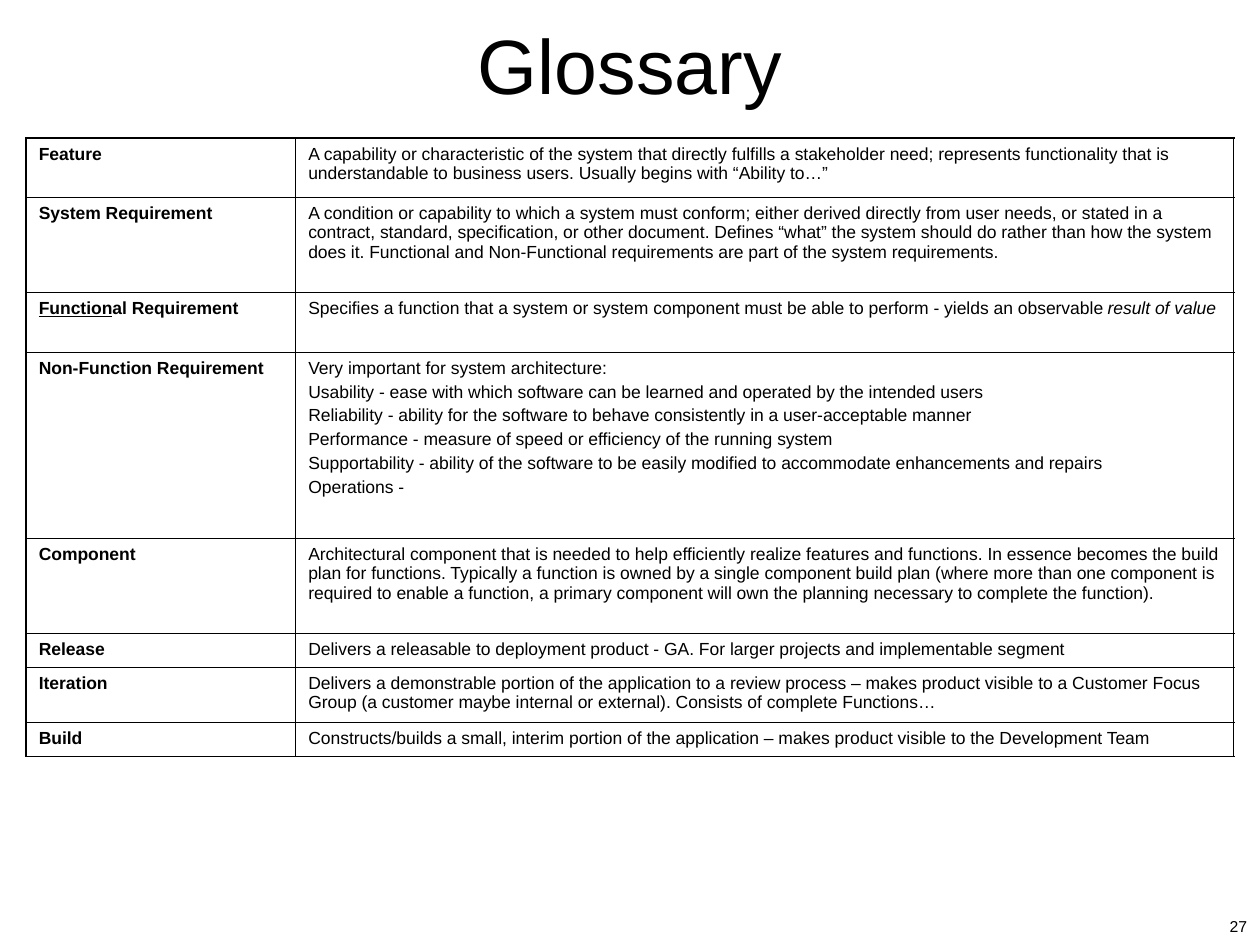
"""Build the Glossary slide: a title, a table of terms and a page number."""
from lxml.etree import SubElement
from pptx import Presentation
from pptx.dml.color import RGBColor
from pptx.enum.text import MSO_ANCHOR as Anchor, PP_ALIGN as Align
from pptx.oxml import parse_xml
from pptx.oxml.ns import nsdecls, qn
from pptx.util import Pt

BLACK = RGBColor(0, 0, 0)
FONT = "Arial"
THIN, THICK = 0.45, 1.08

TITLE = "Glossary"
PAGE_NUMBER = "27"
COLUMN_WIDTHS = (154, 536)
GLOSSARY = [
    (33.7, "Feature", [
        "A capability or characteristic of the system that directly fulfills a stakeholder need; "
        "represents functionality that is understandable to business users. "
        "Usually begins with “Ability to…”"]),
    (54.2, "System Requirement", [
        "A condition or capability to which a system must conform; either derived directly from "
        "user needs, or stated in a contract, standard, specification, or other document. "
        "Defines “what” the system should do rather than how the system does it. "
        "Functional and Non-Functional requirements are part of the system requirements."]),
    (34.3, [("Function", "underline"), ("al Requirement", None)], [
        [("Specifies a function that a system or system component must be able to perform - "
          "yields an observable ", None), ("result of value", "italic")]]),
    (106.4, "Non-Function Requirement", [
        "Very important for system architecture:",
        "Usability - ease with which software can be learned and operated by the intended users",
        "Reliability - ability for the software to behave consistently in a user-acceptable manner",
        "Performance - measure of speed or efficiency of the running system",
        "Supportability - ability of the software to be easily modified to accommodate "
        "enhancements and repairs",
        "Operations -"]),
    (54.2, "Component", [
        "Architectural component that is needed to help efficiently realize features and "
        "functions. In essence becomes the build plan for functions. Typically a function is "
        "owned by a single component build plan (where more than one component is required to "
        "enable a function, a primary component will own the planning necessary to complete "
        "the function)."]),
    (19.5, "Release", [
        "Delivers a releasable to deployment product - GA. "
        "For larger projects and implementable segment"]),
    (31.5, "Iteration", [
        "Delivers a demonstrable portion of the application to a review process – makes product "
        "visible to a Customer Focus Group (a customer maybe internal or external). "
        "Consists of complete Functions…"]),
    (19.5, "Build", [
        "Constructs/builds a small, interim portion of the application – "
        "makes product visible to the Development Team"]),
]


def style_run(run, size):
    run.font.size = Pt(size)
    run.font.color.rgb = BLACK
    run.font.name = FONT


def add_label(slide, text, box, size, anchor):
    label = slide.shapes.add_textbox(*map(Pt, box)).text_frame
    label.word_wrap = True
    label.vertical_anchor = anchor
    label.text = text
    label.paragraphs[0].alignment = Align.CENTER
    run = label.paragraphs[0].runs[0]
    style_run(run, size)
    return run


def add_text_shadow(run):
    properties = run.font.fill._xPr
    effects = parse_xml(
        f'<a:effectLst {nsdecls("a")}><a:outerShdw dist="17960" dir="2700000">'
        '<a:srgbClr val="808080"/></a:outerShdw></a:effectLst>')
    properties.find(qn("a:solidFill")).addnext(effects)


def fill_cell(cell, paragraphs, bold):
    for index, content in enumerate(paragraphs):
        frame = cell.text_frame
        paragraph = frame.add_paragraph() if index else frame.paragraphs[0]
        if index:
            paragraph.space_before = Pt(2.5)
        for text, emphasis in [(content, None)] if isinstance(content, str) else content:
            run = paragraph.add_run()
            run.text = text
            style_run(run, 10)
            run.font.bold = bold
            if emphasis:
                setattr(run.font, emphasis, True)


def set_borders(cell, widths):
    properties = cell._tc.get_or_add_tcPr()
    for side, width in widths.items():
        line = SubElement(properties, qn(f"a:ln{side}"), w=str(int(Pt(width))))
        SubElement(SubElement(line, qn("a:solidFill")), qn("a:srgbClr"), val=str(BLACK))


def add_glossary(slide):
    last_row, last_column = len(GLOSSARY) - 1, len(COLUMN_WIDTHS) - 1
    height = sum(row[0] for row in GLOSSARY)
    table = slide.shapes.add_table(
        len(GLOSSARY), len(COLUMN_WIDTHS),
        Pt(15), Pt(79), Pt(sum(COLUMN_WIDTHS)), Pt(height)).table
    table.first_row = table.horz_banding = False
    for column, width in zip(table.columns, COLUMN_WIDTHS):
        column.width = Pt(width)
    for r, (row_height, term, definition) in enumerate(GLOSSARY):
        table.rows[r].height = Pt(row_height)
        for c, paragraphs in enumerate(([term], definition)):
            cell = table.cell(r, c)
            fill_cell(cell, paragraphs, bold=c == 0)
            outer = {"L": c == 0, "R": c == last_column, "T": r == 0, "B": r == last_row}
            set_borders(cell, {side: THICK if edge else THIN for side, edge in outer.items()})
            cell.fill.background()


def main():
    deck = Presentation()
    deck.slide_width, deck.slide_height = Pt(720), Pt(540)
    slide = deck.slides.add_slide(deck.slide_layouts[6])
    add_label(slide, PAGE_NUMBER, (692.6, 503.3, 30.2, 35.2), 9, Anchor.BOTTOM)
    add_text_shadow(add_label(slide, TITLE, (0, -8.6, 720, 90), 44, Anchor.MIDDLE))
    add_glossary(slide)
    deck.save("out.pptx")


if __name__ == "__main__":
    main()
